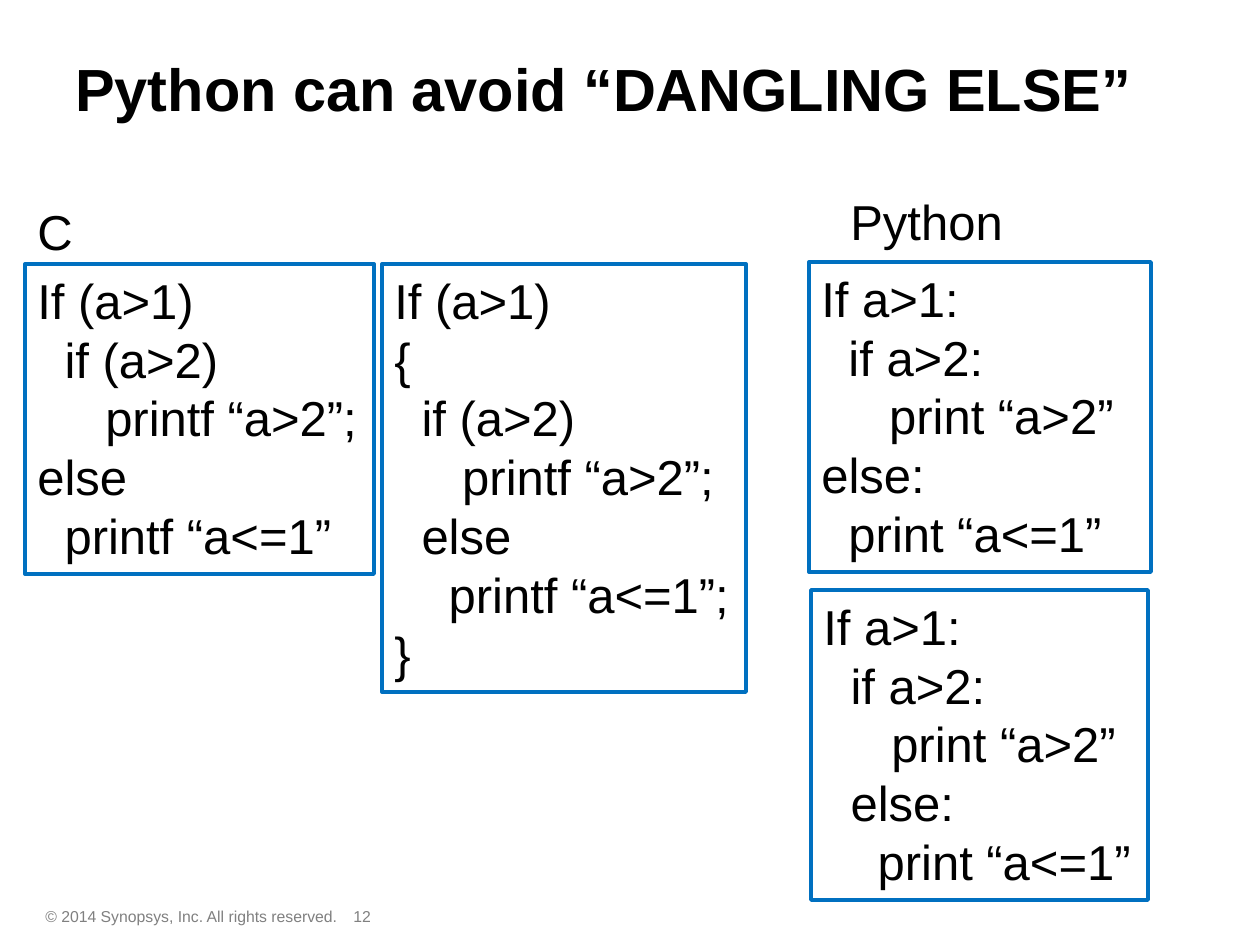
import pptx
import pptx.dml.color
import pptx.enum.shapes
import pptx.enum.text
import pptx.util

EMU_PER_PX = 914400 / 126
FONT = "Arial"
BLACK = pptx.dml.color.RGBColor(0x00, 0x00, 0x00)
GRAY = pptx.dml.color.RGBColor(0x80, 0x80, 0x80)
BLUE = pptx.dml.color.RGBColor(0x00, 0x70, 0xC0)
TOP = pptx.enum.text.MSO_ANCHOR.TOP
MIDDLE = pptx.enum.text.MSO_ANCHOR.MIDDLE

LABELS = [
    ("© 2014 Synopsys, Inc. All rights reserved.", (33, 901, 388, 31), 9, GRAY, False, TOP),
    ("12", (341, 901, 88, 31), 9, GRAY, False, TOP),
    ("Python can avoid “DANGLING ELSE”", (63, 9, 1197, 157), 34, BLACK, True, MIDDLE),
    ("C", (25, 195, 62, 72), 28, BLACK, False, TOP),
    ("Python", (838, 185, 180, 72), 28, BLACK, False, TOP),
]

CODE_PANELS = [
    ((25, 264, 349, 310), [
        "If (a>1)",
        "  if (a>2)",
        "     printf “a>2”;",
        "else",
        "  printf “a<=1”",
    ]),
    ((382, 264, 364, 428), [
        "If (a>1)",
        "{",
        "  if (a>2)",
        "     printf “a>2”;",
        "  else",
        "    printf “a<=1”;",
        "}",
    ]),
    ((809, 262, 342, 310), [
        "If a>1:",
        "  if a>2:",
        "     print “a>2”",
        "else:",
        "  print “a<=1”",
    ]),
    ((811, 590, 337, 310), [
        "If a>1:",
        "  if a>2:",
        "     print “a>2”",
        "  else:",
        "    print “a<=1”",
    ]),
]


def px(length):
    return pptx.util.Emu(round(length * EMU_PER_PX))


def write_lines(frame, lines, size, color, bold=False, anchor=TOP):
    frame.word_wrap = False
    frame.vertical_anchor = anchor
    for index, line in enumerate(lines):
        paragraph = frame.add_paragraph() if index else frame.paragraphs[0]
        paragraph.alignment = pptx.enum.text.PP_ALIGN.LEFT
        run = paragraph.add_run()
        run.text = line
        run.font.name = FONT
        run.font.size = pptx.util.Pt(size)
        run.font.bold = bold
        run.font.color.rgb = color


def add_label(slide, text, bounds, size, color, bold, anchor):
    label = slide.shapes.add_textbox(*map(px, bounds))
    write_lines(label.text_frame, [text], size, color, bold, anchor)


def add_code_panel(slide, bounds, lines):
    panel = slide.shapes.add_shape(
        pptx.enum.shapes.MSO_SHAPE.RECTANGLE, *map(px, bounds))
    panel.shadow.inherit = False
    panel.fill.background()
    panel.line.color.rgb = BLUE
    panel.line.width = pptx.util.Pt(2.25)
    write_lines(panel.text_frame, lines, 28, BLACK)


def main():
    deck = pptx.Presentation()
    deck.slide_width, deck.slide_height = px(1260), px(945)
    slide = deck.slides.add_slide(deck.slide_layouts[6])
    for label in LABELS:
        add_label(slide, *label)
    for bounds, lines in CODE_PANELS:
        add_code_panel(slide, bounds, lines)
    deck.save("out.pptx")


if __name__ == "__main__":
    main()
